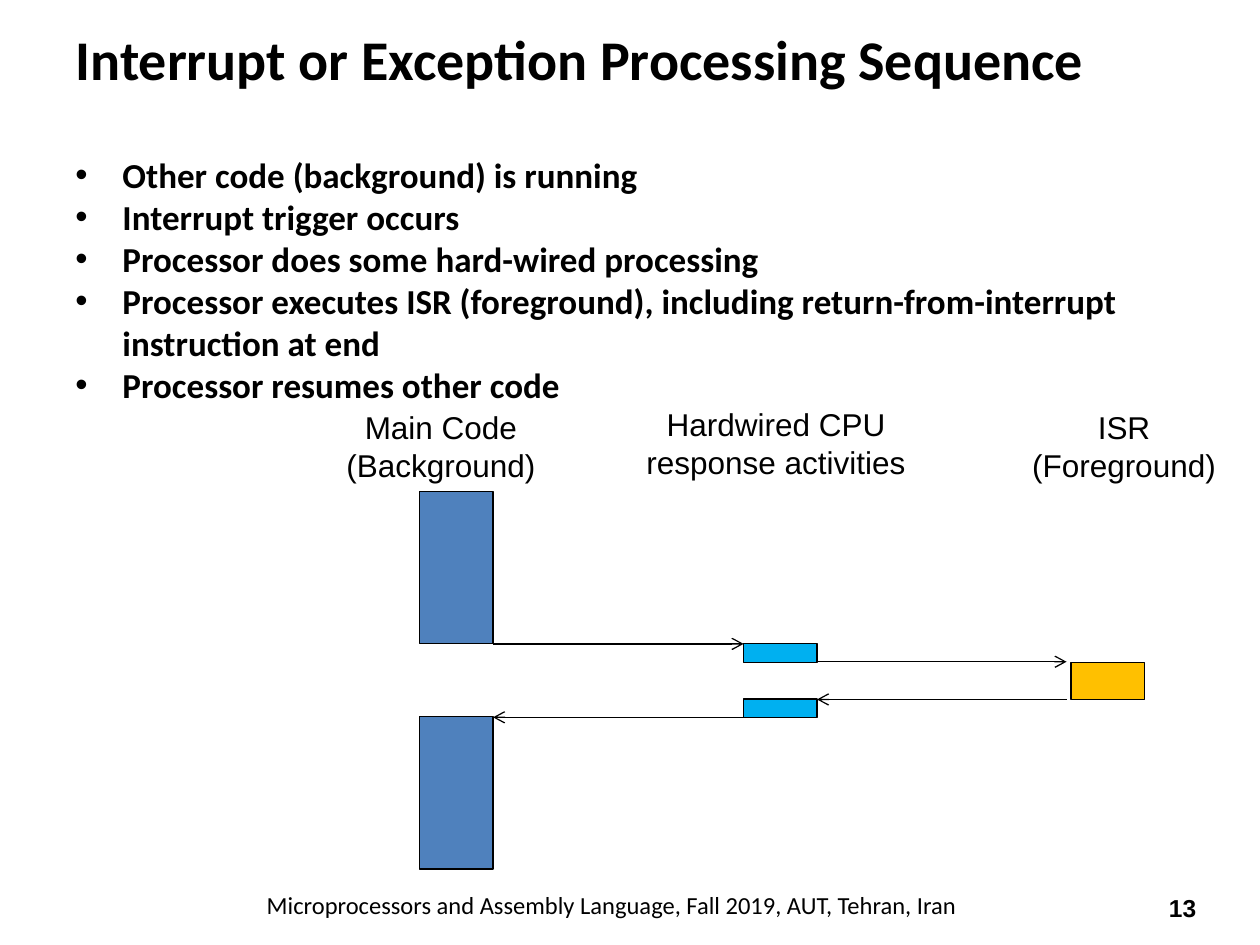
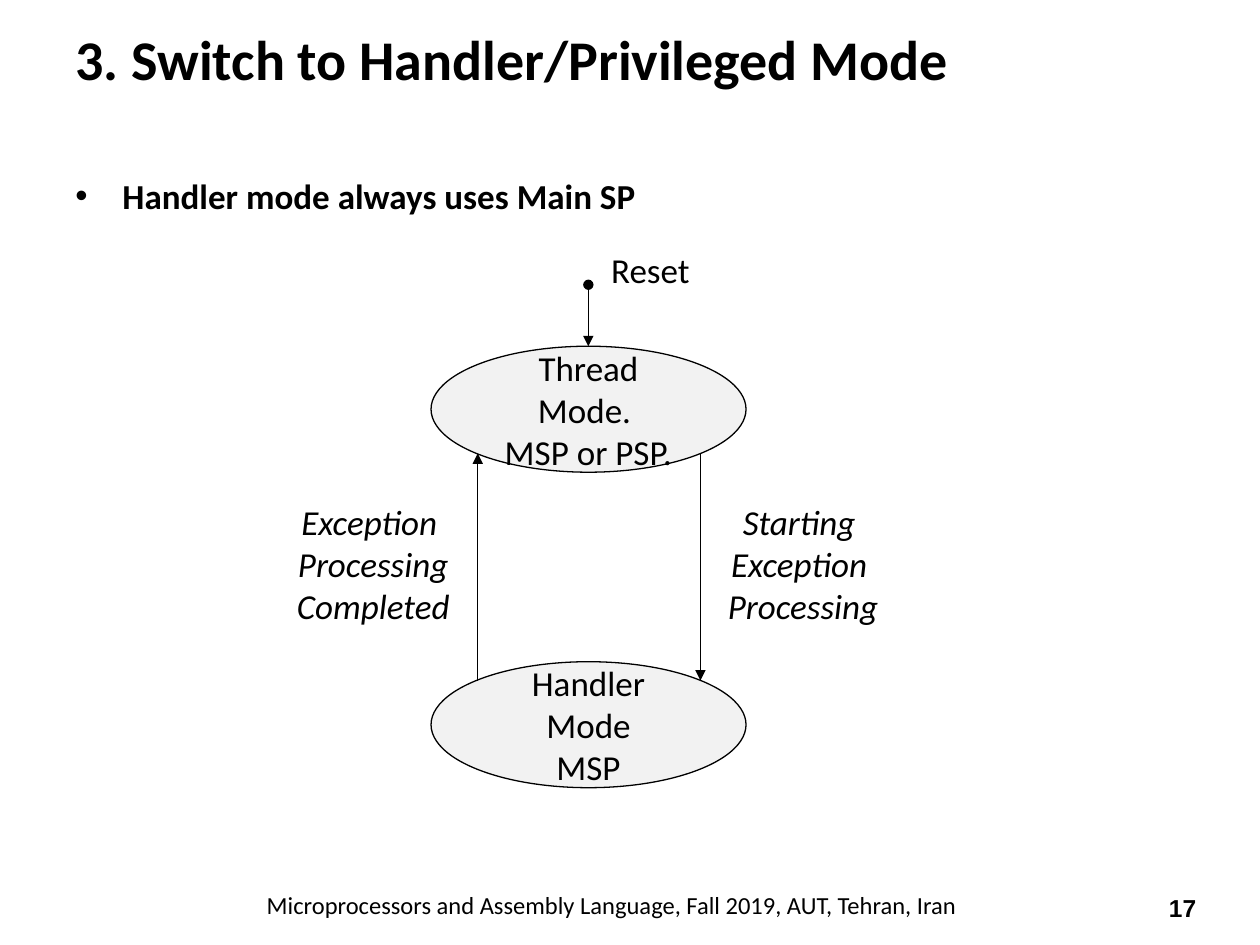
from pptx import Presentation
from pptx.dml.color import RGBColor
from pptx.enum.shapes import MSO_CONNECTOR as LINE, MSO_SHAPE as SHAPE
from pptx.enum.text import MSO_ANCHOR as ANCHOR, MSO_AUTO_SIZE as FIT, PP_ALIGN as ALIGN
from pptx.oxml.ns import qn
from pptx.util import Cm, Pt
from lxml.etree import SubElement

BLACK = RGBColor(0x00, 0x00, 0x00)
MAIN_BLUE = RGBColor(0x4F, 0x81, 0xBD)
CPU_BLUE = RGBColor(0x00, 0xB0, 0xF0)
ISR_AMBER = RGBColor(0xFF, 0xC0, 0x00)
MODE_GREY = RGBColor(0xF2, 0xF2, 0xF2)
LINE_WIDTH = Pt(0.75)
FOOTER = "Microprocessors and Assembly Language, Fall 2019, AUT, Tehran, Iran "


def write(shape, paragraphs, size, font="Calibri", bold=False, italic=False,
          align=ALIGN.CENTER, anchor=ANCHOR.TOP, wrap=True):
    """Fill a shape with paragraphs; a newline is a line break."""
    frame = shape.text_frame
    frame.auto_size = FIT.NONE
    frame.word_wrap = wrap
    frame.vertical_anchor = anchor
    for index, text in enumerate(paragraphs):
        paragraph = frame.add_paragraph() if index else frame.paragraphs[0]
        paragraph.alignment = align
        for number, line in enumerate(text.split("\n")):
            if number:
                paragraph.add_line_break()
            run = paragraph.add_run()
            run.text = line
            run.font.name = font
            run.font.size = Pt(size)
            run.font.bold = bold
            run.font.italic = italic
            run.font.color.rgb = BLACK
    return frame


def arrow(slide, x1, y1, x2, y2, tip, start=None):
    """Draw a black line that ends in the given arrowhead."""
    line = slide.shapes.add_connector(LINE.STRAIGHT, Cm(x1), Cm(y1), Cm(x2), Cm(y2))
    line.line.color.rgb = BLACK
    line.line.width = LINE_WIDTH
    properties = line._element.spPr
    outline = properties.find(qn("a:ln"))
    if start:
        SubElement(outline, qn("a:headEnd"), type=start)
    SubElement(outline, qn("a:tailEnd"), type=tip)
    SubElement(properties, qn("a:effectLst"))


deck = Presentation()
deck.slide_width, deck.slide_height = Cm(25.4), Cm(19.05)

# Shared parts: title, page number, footer and bullets
pages = [
    ("Interrupt or Exception Processing Sequence", "13", 1.0, 5.38,
     ["Other code (background) is running",
      "Interrupt trigger occurs",
      "Processor does some hard-wired processing",
      "Processor executes ISR (foreground), including return-from-interrupt "
      "instruction at end",
      "Processor resumes other code"]),
    ("3. Switch to Handler/Privileged Mode", "17", 1.5, 1.4,
     ["Handler mode always uses Main SP"]),
]
slides = []
for heading, page_number, spacing, height, points in pages:
    slide = deck.slides.add_slide(deck.slide_layouts[5])
    slides.append(slide)

    title = slide.shapes.title
    title.left, title.top, title.width, title.height = Cm(1.27), Cm(0), Cm(22.86), Cm(2.34)
    write(title, [heading], 32, bold=True, align=ALIGN.LEFT, anchor=ANCHOR.MIDDLE)

    number_box = slide.shapes.add_textbox(Cm(23.09), Cm(17.78), Cm(1.5), Cm(1.02))
    number_frame = write(number_box, [page_number], 14, bold=True, anchor=ANCHOR.MIDDLE)
    number_frame.margin_left = number_frame.margin_right = 0
    number_frame.margin_top = number_frame.margin_bottom = 0

    footer_box = slide.shapes.add_textbox(Cm(2.74), Cm(17.81), Cm(19.05), Cm(0.86))
    footer_frame = write(footer_box, [FOOTER], 14)

    # Page number and footer run right to left
    for frame in (number_frame, footer_frame):
        paragraph = frame.paragraphs[0]
        paragraph._p.get_or_add_pPr().set("rtl", "1")
        SubElement(paragraph.runs[0]._r.rPr, qn("a:cs"), typeface="Arial")

    bullet_box = slide.shapes.add_textbox(Cm(1.27), Cm(2.97), Cm(23.5), Cm(height))
    for paragraph in write(bullet_box, points, 20, bold=True, align=ALIGN.LEFT).paragraphs:
        paragraph.line_spacing = spacing
        indents = paragraph._p.get_or_add_pPr()
        indents.set("marL", str(Cm(0.95)))
        indents.set("indent", str(-Cm(0.95)))
        SubElement(indents, qn("a:buFont"), typeface="Arial")
        SubElement(indents, qn("a:buChar"), char="•")

sequence, modes = slides

# Sequence: column headings
for left, top, width, heading in [
    (6.73, 8.1, 4.32, "Main Code\n(Background)"),
    (12.75, 8.05, 5.79, "Hardwired CPU\nresponse activities"),
    (20.55, 8.1, 4.22, "ISR\n(Foreground)"),
]:
    column_heading = sequence.shapes.add_textbox(Cm(left), Cm(top), Cm(width), Cm(1.79))
    write(column_heading, [heading], 18, font="Arial", wrap=False)

# Sequence: periods of activity, time running downwards
BAR_WIDTH = 1.48
MAIN_X, CPU_X, ISR_X = 8.46, 14.99, 21.59
for left, top, height, colour in [
    (MAIN_X, 9.91, 3.07, MAIN_BLUE),
    (MAIN_X, 14.45, 3.07, MAIN_BLUE),
    (ISR_X, 13.36, 0.74, ISR_AMBER),
    (CPU_X, 12.98, 0.38, CPU_BLUE),
    (CPU_X, 14.09, 0.38, CPU_BLUE),
]:
    period = sequence.shapes.add_shape(
        SHAPE.RECTANGLE, Cm(left), Cm(top), Cm(BAR_WIDTH), Cm(height))
    period.shadow.inherit = False
    period.fill.solid()
    period.fill.fore_color.rgb = colour
    period.line.color.rgb = BLACK
    period.line.width = LINE_WIDTH

# Sequence: hand-over to the ISR and back
main_edge, cpu_edge, isr_edge = MAIN_X + BAR_WIDTH, CPU_X + BAR_WIDTH, 21.5
for start_x, end_x, y in [
    (main_edge, CPU_X, 12.98),
    (cpu_edge, isr_edge, 13.34),
    (CPU_X, main_edge, 14.46),
    (isr_edge, cpu_edge, 14.1),
]:
    arrow(sequence, start_x, y, end_x, y, "arrow")

# Modes: the two states
for top, lines in [
    (6.98, ["Thread", "Mode. \nMSP or PSP."]),
    (13.34, ["Handler Mode", "MSP"]),
]:
    state = modes.shapes.add_shape(SHAPE.OVAL, Cm(8.69), Cm(top), Cm(6.35), Cm(2.54))
    state.shadow.inherit = False
    state.fill.solid()
    state.fill.fore_color.rgb = MODE_GREY
    state.line.color.rgb = BLACK
    state.line.width = LINE_WIDTH
    write(state, lines, 20, anchor=ANCHOR.MIDDLE)

# Modes: transitions
THREAD_Y, HANDLER_Y = 9.14, 13.72
arrow(modes, 14.12, THREAD_Y, 14.12, HANDLER_Y, "triangle")
arrow(modes, 9.63, HANDLER_Y, 9.63, THREAD_Y, "triangle")
arrow(modes, 11.86, 5.74, 11.86, 6.98, "triangle", start="oval")

# Modes: transition labels
for left, top, width, height, lines, italic, align in [
    (12.07, 4.88, 2.11, 1.12, ["Reset"], False, ALIGN.LEFT),
    (14.4, 9.96, 3.58, 2.82, ["Starting \nException \nProcessing"], True, ALIGN.CENTER),
    (5.72, 9.96, 3.61, 2.82, ["Exception \nProcessing", "Completed"], True, ALIGN.CENTER),
]:
    transition = modes.shapes.add_textbox(Cm(left), Cm(top), Cm(width), Cm(height))
    write(transition, lines, 20, italic=italic, align=align, wrap=False)

deck.save("out.pptx")
